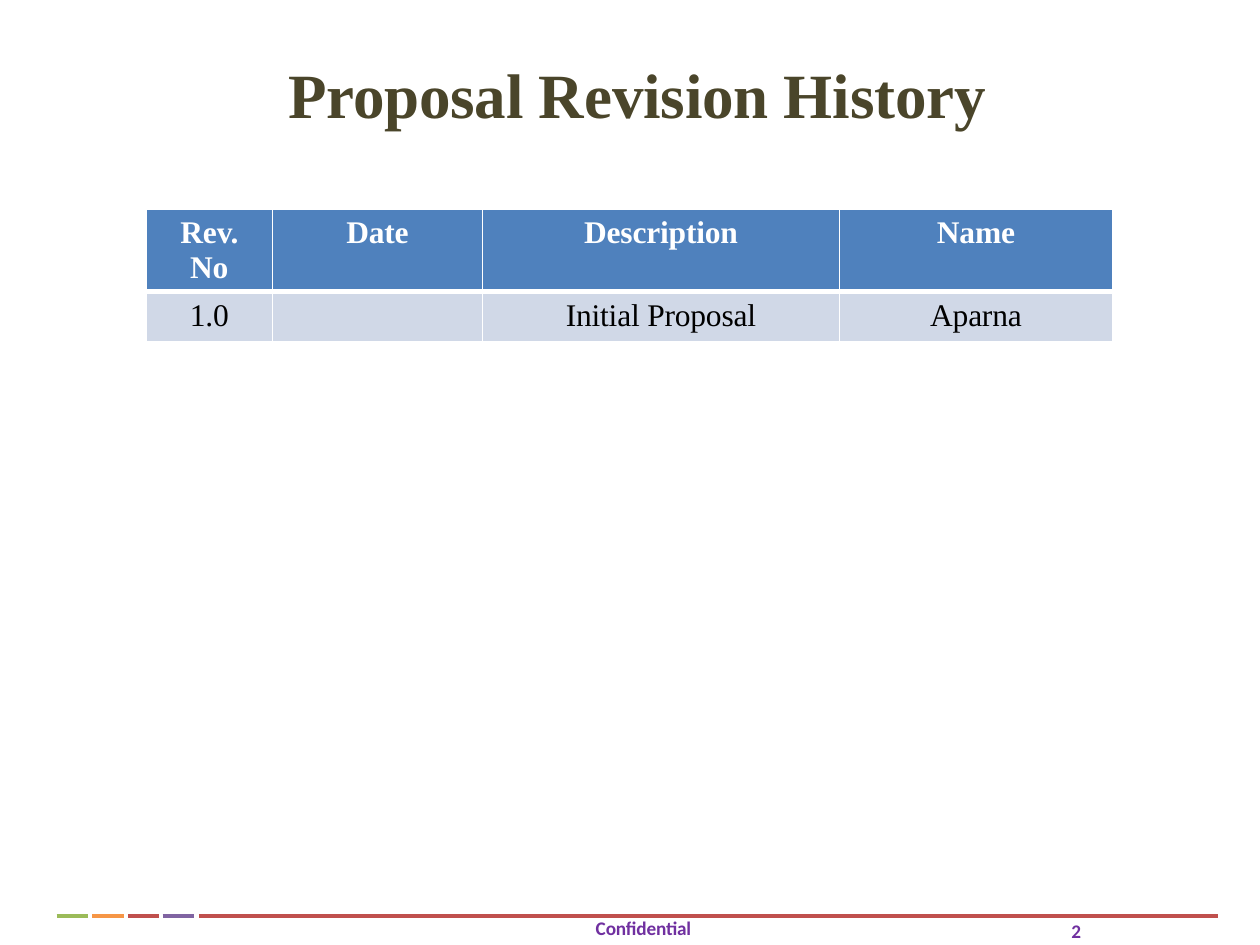
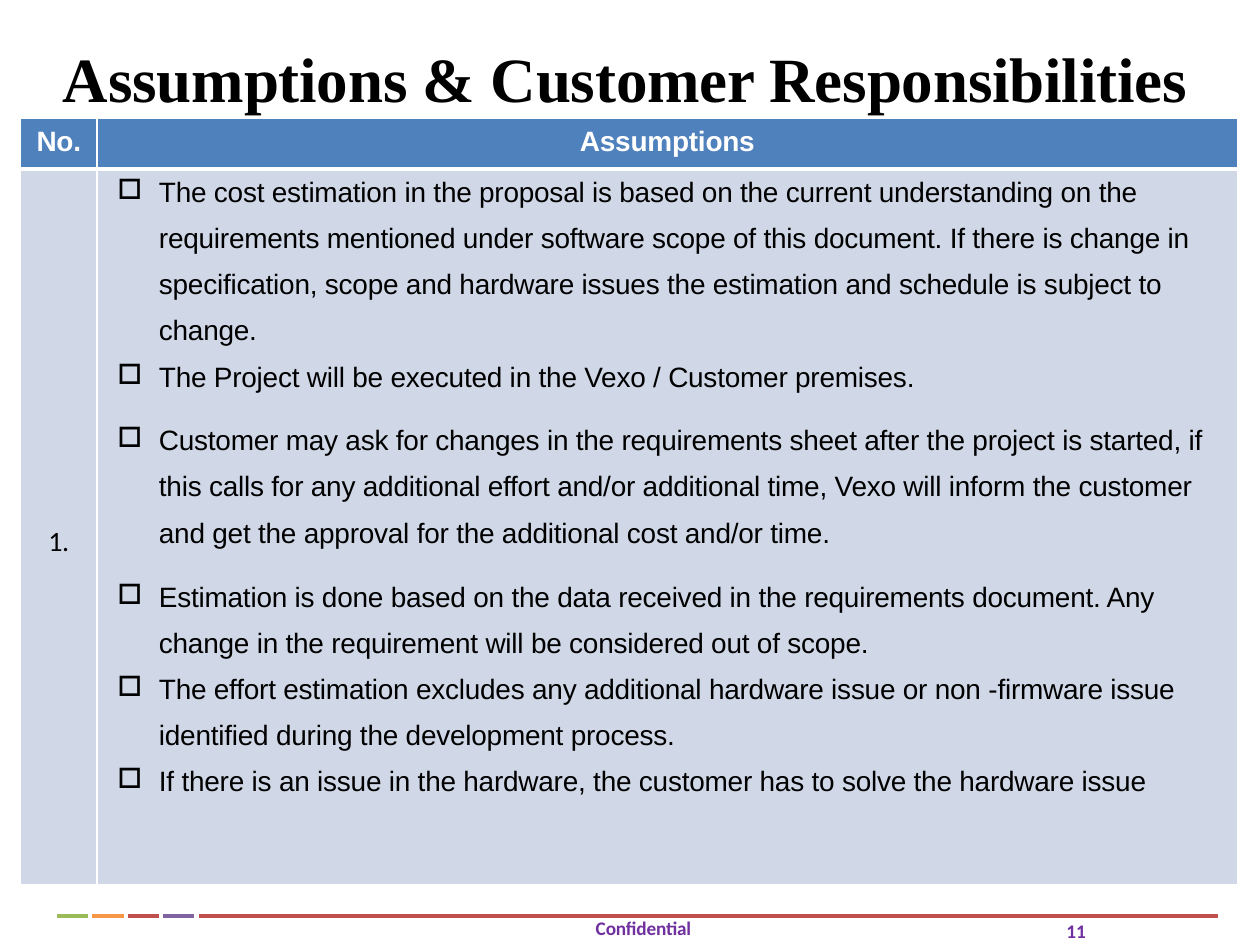
"""Build the revision history and assumptions slides of a proposal."""
from lxml import etree
from pptx import Presentation
from pptx.dml.color import RGBColor
from pptx.enum.shapes import MSO_CONNECTOR
from pptx.enum.text import PP_ALIGN
from pptx.oxml.ns import qn
from pptx.util import Cm, Pt

LINE = MSO_CONNECTOR.STRAIGHT
LEFT, MID = PP_ALIGN.LEFT, PP_ALIGN.CENTER
COLS = {"white": "FFFFFF", "black": "000000", "olive": "4A452A", "plum": "7030A0",
        "blue": "4F81BD", "pale": "D0D8E7", "green": "9BBB59", "orange": "F69646",
        "red": "C0504D", "violet": "8064A2"}
SERIF, SANS, PLAIN = "Times New Roman", "Arial", "Calibri"
LOOKS = {
    "first": ("olive", {"size": Pt(36), "name": SERIF, "bold": True}),
    "second": ("black", {"size": Pt(36), "name": SERIF, "bold": True}),
    "foot": ("plum", {"size": Pt(11), "name": PLAIN, "bold": True}),
    "head": ("white", {"size": Pt(18), "name": SERIF, "bold": True}),
    "cell": ("black", {"size": Pt(18), "name": SERIF, "bold": False}),
    "label": ("white", {"size": Pt(16), "name": SANS, "bold": True}),
    "count": ("black", {"size": Pt(16), "name": PLAIN, "bold": False}),
    "point": ("black", {"size": Pt(16), "name": SANS, "bold": False}),
}
BARS = [("red", 4.01, 20.55), ("green", 1.14, 0.63), ("orange", 1.86, 0.63),
        ("red", 2.58, 0.63), ("violet", 3.28, 0.63)]
PAGES = [
    {"title": "Proposal Revision History", "look": "first", "align": MID,
     "box": (1.09, 1.12, 23.5, 3.23), "num": "2", "at": (2.95, 4.22),
     "cols": [2.54, 4.24, 7.19, 5.51], "rows": [1.04, 1.04],
     "looks": ["head", "cell"], "fit": {"space_before": Pt(2.2)},
     "data": [["Rev. No", "Date", "Description", "Name"],
              ["1.0", "", "Initial Proposal", "Aparna"]]},
    {"title": "Assumptions & Customer Responsibilities", "look": "second", "align": LEFT,
     "box": (1.27, 0.79, 22.86, 3.23), "num": "11", "at": (0.41, 2.39),
     "cols": [1.55, 22.99], "rows": [1.02, 14.45],
     "looks": ["label", "count"], "fit": {"line_spacing": Pt(18.7)},
     "data": [["No.", "Assumptions"], ["1.", ""]]},
]
POINTS = [
    (True, Pt(18.6), 0, "The cost estimation in the proposal is based on the current "
     "understanding on the"),
    (False, 1.48, 0, "requirements mentioned under software scope of this document. If there "
     "is change in specification, scope and hardware issues the estimation and schedule is "
     "subject to change."),
    (True, 1.0, 9.3, "The Project will be executed in the Vexo / Customer premises."),
    (True, 1.5, 9.3, "Customer may ask for changes in the requirements sheet after the project "
     "is started, if this calls for any additional effort and/or additional time, Vexo will "
     "inform the customer and get the approval for the additional cost and/or time."),
    (True, 1.48, 10.5, "Estimation is done based on the data received in the requirements "
     "document. Any change in the requirement will be considered out of scope."),
    (True, 1.48, 0, "The effort estimation excludes any additional hardware issue or non "
     "-firmware issue identified during the development process."),
    (True, 1.48, 0, "If there is an issue in the hardware, the customer has to solve the "
     "hardware issue"),
]


def write(par, text, look, **fit):
    run = par.add_run()
    run.text = text
    tone, form = LOOKS[look]
    for key, val in form.items():
        setattr(run.font, key, val)
    run.font.color.rgb = RGBColor.from_string(COLS[tone])
    run.font._element.set("spc", "-10")
    for key, val in fit.items():
        setattr(par, key, val)


def label(slide, box, text, look, **fit):
    frame = slide.shapes.add_textbox(*map(Cm, box)).text_frame
    form = {"word_wrap": True, "margin_left": 0, "margin_right": 0,
            "margin_top": 0, "margin_bottom": 0}
    for key, val in form.items():
        setattr(frame, key, val)
    write(frame.paragraphs[0], text, look, **fit)


deck = Presentation()
deck.slide_width, deck.slide_height = Cm(25.4), Cm(19.05)

for page in PAGES:
    slide = deck.slides.add_slide(deck.slide_layouts[6])
    for tone, left, wide in BARS:
        bar = slide.shapes.add_connector(LINE, Cm(left), Cm(18.47), Cm(left + wide), Cm(18.47))
        bar.line.color.rgb = RGBColor.from_string(COLS[tone])
        bar.line.width = Pt(2)
        etree.SubElement(bar._element.spPr, qn("a:effectLst"))

    cols, rows = page["cols"], page["rows"]
    spot = map(Cm, (*page["at"], sum(cols), sum(rows)))
    grid = slide.shapes.add_table(len(rows), len(cols), *spot).table
    grid.first_row = grid.horz_banding = False
    for col, wide in zip(grid.columns, cols):
        col.width = Cm(wide)
    for r, high in enumerate(rows):
        grid.rows[r].height = Cm(high)
        for c, text in enumerate(page["data"][r]):
            cell = grid.cell(r, c)
            props = cell._tc.get_or_add_tcPr()
            for side, wide in zip("LRTB", (0.96, 0.96, 3 if r else 0.96, 3)):
                edge = etree.SubElement(props, qn("a:ln" + side), w=str(Pt(wide)))
                fill = etree.SubElement(edge, qn("a:solidFill"))
                etree.SubElement(fill, qn("a:srgbClr"), val=COLS["white"])
            cell.fill.solid()
            cell.fill.fore_color.rgb = RGBColor.from_string(COLS["pale" if r else "blue"])
            if text:
                write(cell.text_frame.paragraphs[0], text, page["looks"][r],
                      alignment=MID, **page["fit"])

    label(slide, page["box"], page["title"], page["look"],
          alignment=page["align"], space_before=Pt(1))
    label(slide, (12.01, 18.54, 2.03, 0.5), "Confidential", "foot", line_spacing=Pt(11.4))
    label(slide, (21.44, 18.59, 0.51, 0.41), page["num"], "foot",
          alignment=MID, line_spacing=Pt(11.4))

grid.cell(1, 0).margin_top = Cm(7.2)
frame = grid.cell(1, 1).text_frame
for i, (mark, space, gap, text) in enumerate(POINTS):
    par = frame.add_paragraph() if i else frame.paragraphs[0]
    write(par, text, "point", line_spacing=space, space_before=Pt(gap))
    props = par._p.get_or_add_pPr()
    props.set("marL", str(Cm(0.99)))
    props.set("indent", str(Cm(-0.84) if mark else 0))
    if mark:
        etree.SubElement(props, qn("a:buChar"), char="□")

deck.save("out.pptx")
